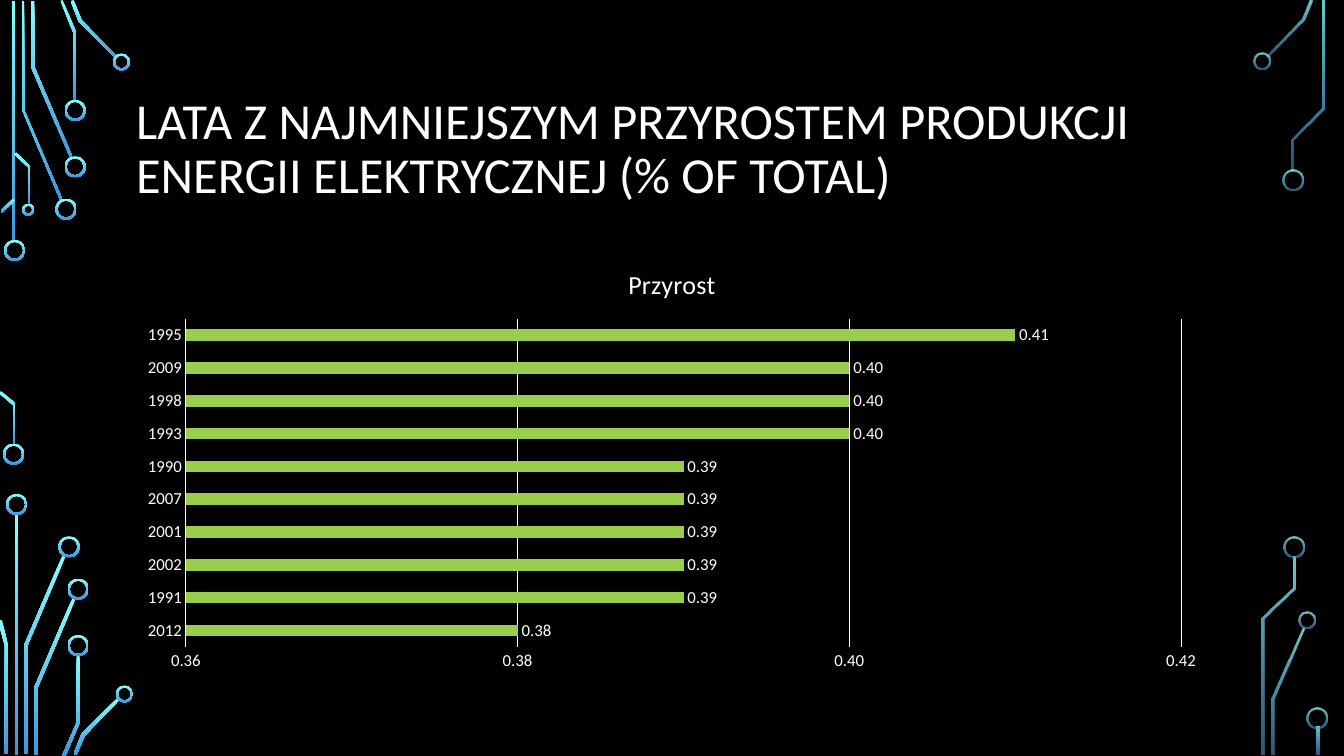
"""Build a dark circuit-themed slide with a bar chart of the smallest yearly increases."""
from lxml.etree import SubElement
from pptx import Presentation
from pptx.chart.data import CategoryChartData
from pptx.dml.color import RGBColor
from pptx.enum.chart import XL_CHART_TYPE, XL_LABEL_POSITION, XL_TICK_MARK
from pptx.enum.shapes import MSO_SHAPE
from pptx.enum.text import MSO_ANCHOR, MSO_AUTO_SIZE, PP_ALIGN
from pptx.oxml.ns import qn
from pptx.util import Pt

PX = 9144
BLACK = RGBColor(0x00, 0x00, 0x00)
WHITE = RGBColor(0xFF, 0xFF, 0xFF)
GREEN = RGBColor(0x9A, 0xCD, 0x4C)
CYAN = RGBColor(0x82, 0xFF, 0xFF)
BLUE = RGBColor(0x3D, 0x97, 0xDE)

SOLID = (100, 100)
FADED = (80, 60)

LEFT_BARS = [(12, 1, 3, 239), (15, 510, 3, 239)]
LEFT_TRACES = [
    [(60, 199), (22, 109), (22, 1), (24, 1), (24, 109), (62, 198)],
    [(70, 157), (31, 67), (31, 1), (34, 1), (34, 66), (72, 156)],
    [(76, 100), (73, 100), (73, 33), (60, 1), (62, 0), (76, 33)],
    [(115, 58), (78, 21), (70, 1), (73, 0), (81, 20), (116, 56)],
    [(2, 211), (1, 209), (13, 197), (15, 199)],
    [(15, 441), (13, 441), (13, 402), (-1, 390), (1, 388), (15, 400)],
    [(30, 203), (28, 203), (28, 166), (14, 153), (16, 151), (30, 165)],
    [(27, 748), (24, 748), (24, 640), (62, 551), (65, 552), (27, 641)],
    [(8, 748), (5, 748), (5, 641), (-2, 616), (2, 615), (8, 641)],
    [(37, 749), (34, 749), (34, 682), (72, 593), (75, 594), (37, 683)],
    [(65, 750), (62, 749), (76, 717), (76, 650), (79, 650), (79, 717)],
    [(76, 749), (73, 748), (81, 728), (117, 692), (119, 694), (84, 730)],
]
LEFT_RINGS = [
    (4, 238, 21), (3, 440, 21), (55, 197, 21), (64, 155, 21), (64, 99, 21),
    (112, 53, 17), (22, 202, 12), (6, 490, 21), (58, 532, 21), (67, 574, 21),
    (67, 630, 21), (115, 680, 17),
]

RIGHT_BARS = [(1306, 721, 3, 28)]
RIGHT_TRACES = [
    [(1258, 56), (1256, 55), (1291, 19), (1299, 0), (1302, 1), (1294, 20)],
    [(1264, 749), (1261, 749), (1261, 693), (1292, 623), (1294, 624), (1264, 694)],
    [(1283, 169), (1281, 169), (1281, 138), (1311, 107), (1311, 1),
     (1314, 1), (1314, 108), (1283, 139)],
    [(1254, 749), (1251, 749), (1251, 613), (1282, 583), (1282, 552),
     (1285, 552), (1285, 584), (1254, 614)],
]
RIGHT_RINGS = [
    (1243, 52, 17), (1272, 168, 21), (1288, 607, 17), (1273, 532, 21), (1296, 702, 21),
]

INCREASES = [
    ("2012", 0.38), ("1991", 0.39), ("2002", 0.39), ("2001", 0.39), ("2007", 0.39),
    ("1990", 0.39), ("1993", 0.40), ("1998", 0.40), ("2009", 0.40), ("1995", 0.41),
]


class CircuitSlide:
    """Hold the style and the current slide."""

    font_name = "Calibri"
    ring_width = 2

    def __init__(self, presentation):
        """Add a title-only slide with a black background."""
        self.slide = presentation.slides.add_slide(presentation.slide_layouts[5])
        self.shapes = self.slide.shapes
        background = self.slide.background.fill
        background.solid()
        background.fore_color.rgb = BLACK

    def style(self, font, size):
        """Give a font the slide's typeface and colour."""
        font.name = self.font_name
        font.size = Pt(size)
        font.bold = False
        font.color.rgb = WHITE

    def glow(self, shape, opacities):
        """Fill a shape from cyan at the top to blue at the bottom."""
        shape.shadow.inherit = False
        shape.line.fill.background()
        shape.fill.gradient()
        shape.fill.gradient_angle = 270
        for stop, color in zip(shape.fill.gradient_stops, (CYAN, BLUE)):
            stop.color.rgb = color
        for color, opacity in zip(shape._element.spPr.iter(qn("a:srgbClr")), opacities):
            if opacity < 100:
                SubElement(color, qn("a:alpha"), val=str(opacity * 1000))

    def bar(self, box, opacities):
        """Draw a straight vertical trace."""
        lengths = [length * PX for length in box]
        self.glow(self.shapes.add_shape(MSO_SHAPE.RECTANGLE, *lengths), opacities)

    def trace(self, points, opacities):
        """Draw a bent trace from its outline."""
        builder = self.shapes.build_freeform(*points[0], scale=PX)
        builder.add_line_segments(points[1:], close=True)
        self.glow(builder.convert_to_shape(), opacities)

    def ring(self, left, top, size, opacities):
        """Draw the round end of a trace."""
        shape = self.shapes.add_shape(
            MSO_SHAPE.DONUT, left * PX, top * PX, size * PX, size * PX)
        shape.adjustments[0] = self.ring_width / size
        self.glow(shape, opacities)

    def circuit(self, bars, traces, rings, opacities):
        """Draw one side's circuit pattern."""
        for box in bars:
            self.bar(box, opacities)
        for points in traces:
            self.trace(points, opacities)
        for ring in rings:
            self.ring(*ring, opacities)

    def title(self, text, left, top, width, height):
        """Place and format the title placeholder."""
        title = self.shapes.title
        title.left, title.top = left * PX, top * PX
        title.width, title.height = width * PX, height * PX
        frame = title.text_frame
        frame.text = text
        frame.word_wrap = True
        frame.auto_size = MSO_AUTO_SIZE.NONE
        frame.vertical_anchor = MSO_ANCHOR.MIDDLE
        paragraph = frame.paragraphs[0]
        paragraph.alignment = PP_ALIGN.LEFT
        paragraph.line_spacing = 0.9
        self.style(paragraph.font, 36)

    def bar_chart(self, name, rows, left, top, width, height):
        """Add a horizontal bar chart of labelled values."""
        data = CategoryChartData(number_format="0.00")
        data.categories = [label for label, value in rows]
        data.add_series(name, [value for label, value in rows])
        chart = self.shapes.add_chart(
            XL_CHART_TYPE.BAR_CLUSTERED,
            left * PX, top * PX, width * PX, height * PX, data).chart
        self.style(chart.font, 10)
        chart.has_legend = False
        chart.has_title = True
        chart.chart_title.include_in_layout = False
        chart.chart_title.text_frame.text = name
        self.style(chart.chart_title.text_frame.paragraphs[0].font, 18.6)

        plot = chart.plots[0]
        plot.gap_width = 182
        plot.vary_by_categories = False
        fill = plot.series[0].format.fill
        fill.solid()
        fill.fore_color.rgb = GREEN
        plot.has_data_labels = True
        labels = plot.data_labels
        labels.show_value = True
        labels.position = XL_LABEL_POSITION.OUTSIDE_END
        labels.number_format = "0.00"
        labels.number_format_is_linked = False
        self.style(labels.font, 12)

        category_axis, value_axis = chart.category_axis, chart.value_axis
        for axis in (category_axis, value_axis):
            axis.major_tick_mark = axis.minor_tick_mark = XL_TICK_MARK.NONE
            self.style(axis.tick_labels.font, 12)
        value_axis.minimum_scale, value_axis.maximum_scale = 0.36, 0.42
        value_axis.major_unit = 0.02
        value_axis.tick_labels.number_format = "0.00"
        value_axis.tick_labels.number_format_is_linked = False
        value_axis.format.line.fill.background()
        value_axis.has_major_gridlines = True
        for line in (category_axis.format.line, value_axis.major_gridlines.format.line):
            line.color.rgb = WHITE
            line.width = Pt(0.75)


def main():
    """Build and save the presentation."""
    presentation = Presentation()
    presentation.slide_width, presentation.slide_height = 1333 * PX, 750 * PX
    page = CircuitSlide(presentation)
    page.circuit(LEFT_BARS, LEFT_TRACES, LEFT_RINGS, SOLID)
    page.circuit(RIGHT_BARS, RIGHT_TRACES, RIGHT_RINGS, FADED)
    page.title("LATA Z NAJMNIEJSZYM PRZYROSTEM PRODUKCJI ENERGII ELEKTRYCZNEJ (% OF TOTAL)",
               125, 68, 1083, 162)
    page.bar_chart("Przyrost", INCREASES, 125, 246, 1083, 428)
    presentation.save("out.pptx")


if __name__ == "__main__":
    main()
